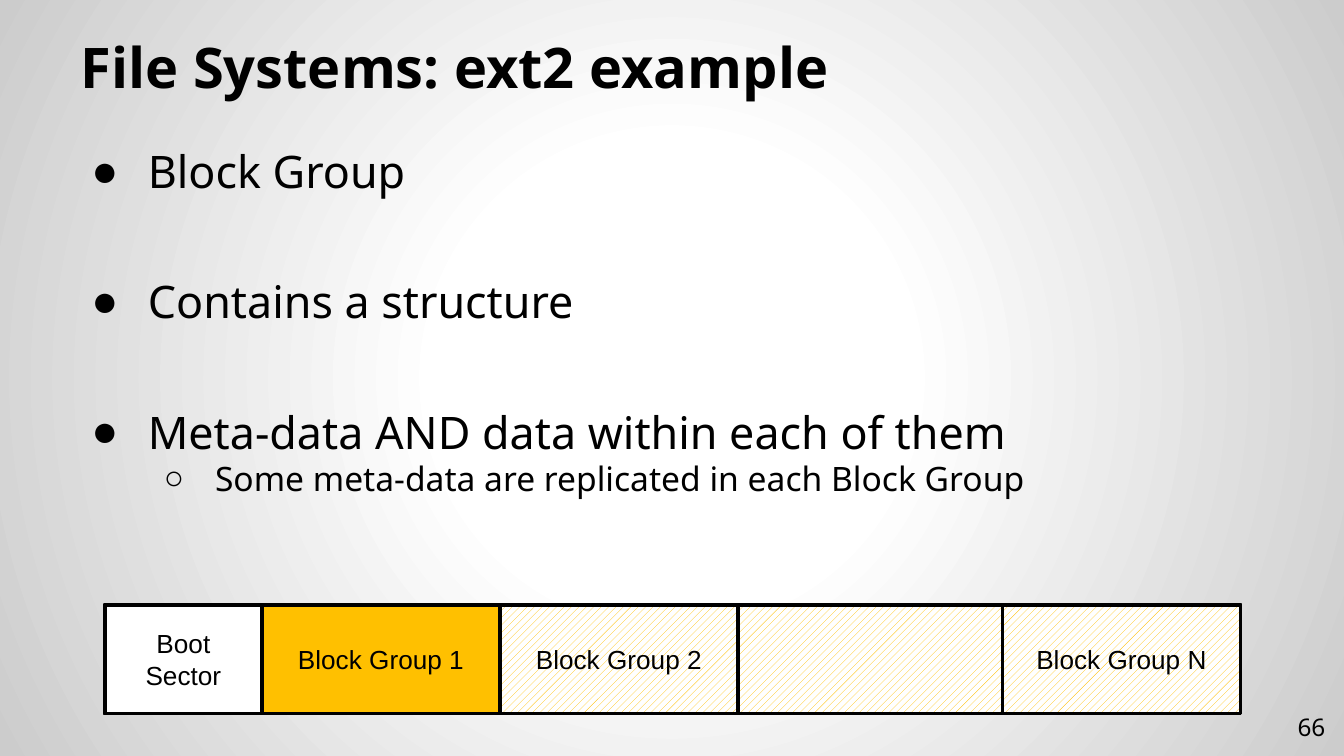
from lxml import etree
from pptx import Presentation
from pptx import util as u
from pptx.dml.color import RGBColor
from pptx.enum import dml, shapes, text
from pptx.oxml import parse_xml
from pptx.oxml.ns import qn

BLACK = RGBColor(0, 0, 0)
WHITE = RGBColor(255, 255, 255)
AMBER = RGBColor(0xFF, 0xC0, 0x00)
SANS = "Noto Sans"
NS = 'xmlns:a="http://schemas.openxmlformats.org/drawingml/2006/main"'


def style(para, size, font=SANS, bold=False):
    for run in para.runs:
        run.font.size = u.Pt(size)
        run.font.name = font
        run.font.bold = bold
        run.font.color.rgb = BLACK


def place(shape, left, top, width, height):
    """Move a text shape and give its frame even margins."""
    shape.left, shape.top = u.Inches(left), u.Inches(top)
    shape.width, shape.height = u.Inches(width), u.Inches(height)
    frame = shape.text_frame
    frame.word_wrap = True
    frame.auto_size = text.MSO_AUTO_SIZE.NONE
    frame.margin_left = frame.margin_right = u.Inches(0.1)
    frame.margin_top = frame.margin_bottom = u.Inches(0.1)
    return frame


deck = Presentation()
deck.slide_width = u.Inches(10)
deck.slide_height = u.Inches(10 * 9 / 16)
slide = deck.slides.add_slide(deck.slide_layouts[1])

# Background: white centre fading to grey
back = slide.background.fill
back.gradient()
grad = slide.background._cSld.find(".//" + qn("a:gradFill"))
for child in list(grad):
    grad.remove(child)
stops = etree.SubElement(grad, qn("a:gsLst"))
for pos, tone in [(0, "FFFFFF"), (30, "FFFFFF"), (100, "CCCCCC")]:
    stop = etree.SubElement(stops, qn("a:gs"), pos=str(pos * 1000))
    etree.SubElement(stop, qn("a:srgbClr"), val=tone)
grad.append(parse_xml(
    f'<a:path {NS} path="circle">'
    '<a:fillToRect l="50000" t="50000" r="50000" b="50000"/></a:path>'))

# Title
frame = place(slide.shapes.title, 0.5, 0.23, 9, 0.62)
frame.vertical_anchor = text.MSO_ANCHOR.BOTTOM
frame.text = "File Systems: ext2 example"
head = frame.paragraphs[0]
head.alignment = text.PP_ALIGN.LEFT
head.line_spacing = 0.9
style(head, 30, bold=True)

# Bullets: text, level, space before
points = [
    ("Block Group", 0, 0),
    ("Contains a structure", 0, 41),
    ("Meta-data AND data within each of them", 0, 41),
    ("Some meta-data are replicated in each Block Group", 1, 0),
]
looks = [("●", 0.5, -0.42, 24), ("○", 1, -0.38, 18)]
frame = place(slide.placeholders[1], 0.5, 0.97, 9, 4.41)
frame.vertical_anchor = text.MSO_ANCHOR.TOP
frame.text = "\n".join(point[0] for point in points)
for para, (_, level, gap) in zip(frame.paragraphs, points):
    mark, left, hang, size = looks[level]
    para.level = level
    props = para._p.get_or_add_pPr()
    props.set("marL", str(u.Inches(left)))
    props.set("indent", str(u.Inches(hang)))
    tint = etree.SubElement(props, qn("a:buClr"))
    etree.SubElement(tint, qn("a:srgbClr"), val=str(BLACK))
    etree.SubElement(props, qn("a:buChar"), char=mark)
    para.space_before = u.Pt(gap)
    style(para, size)

# Disk layout: label, width, fill
cells = [
    ("Boot Sector", 1.17, WHITE),
    ("Block Group 1", 1.77, AMBER),
    ("Block Group 2", 1.77, None),
    ("", 1.97, None),
    ("Block Group N", 1.77, None),
]
disk = slide.shapes.add_group_shape()
left = 0.78
for label, width, color in cells:
    cell = disk.shapes.add_shape(
        shapes.MSO_SHAPE.RECTANGLE, u.Inches(left), u.Inches(4.5),
        u.Inches(width), u.Inches(0.81))
    cell.shadow.inherit = False
    if color is None:
        cell.fill.patterned()
        cell.fill.pattern = dml.MSO_PATTERN.WIDE_UPWARD_DIAGONAL
        cell.fill.fore_color.rgb = AMBER
        cell.fill.back_color.rgb = WHITE
    else:
        cell.fill.solid()
        cell.fill.fore_color.rgb = color
    cell.line.color.rgb = BLACK
    cell.line.width = u.Pt(2)
    cell.text_frame.text = label
    cell.text_frame.vertical_anchor = text.MSO_ANCHOR.MIDDLE
    para = cell.text_frame.paragraphs[0]
    para.alignment = text.PP_ALIGN.CENTER
    style(para, 14, "Arial")
    left += width

edge = disk.shapes.add_shape(
    shapes.MSO_SHAPE.RECTANGLE, u.Inches(0.78), u.Inches(4.5),
    u.Inches(left - 0.78), u.Inches(0.81))
edge.shadow.inherit = False
edge.fill.background()
edge.line.color.rgb = BLACK
edge.line.width = u.Pt(2)

# Page number
page = slide.shapes.add_textbox(0, 0, 0, 0)
frame = place(page, 9.36, 5.19, 0.6, 0.43)
frame.vertical_anchor = text.MSO_ANCHOR.MIDDLE
frame.text = "66"
frame.paragraphs[0].alignment = text.PP_ALIGN.RIGHT
style(frame.paragraphs[0], 13)

deck.save("out.pptx")
